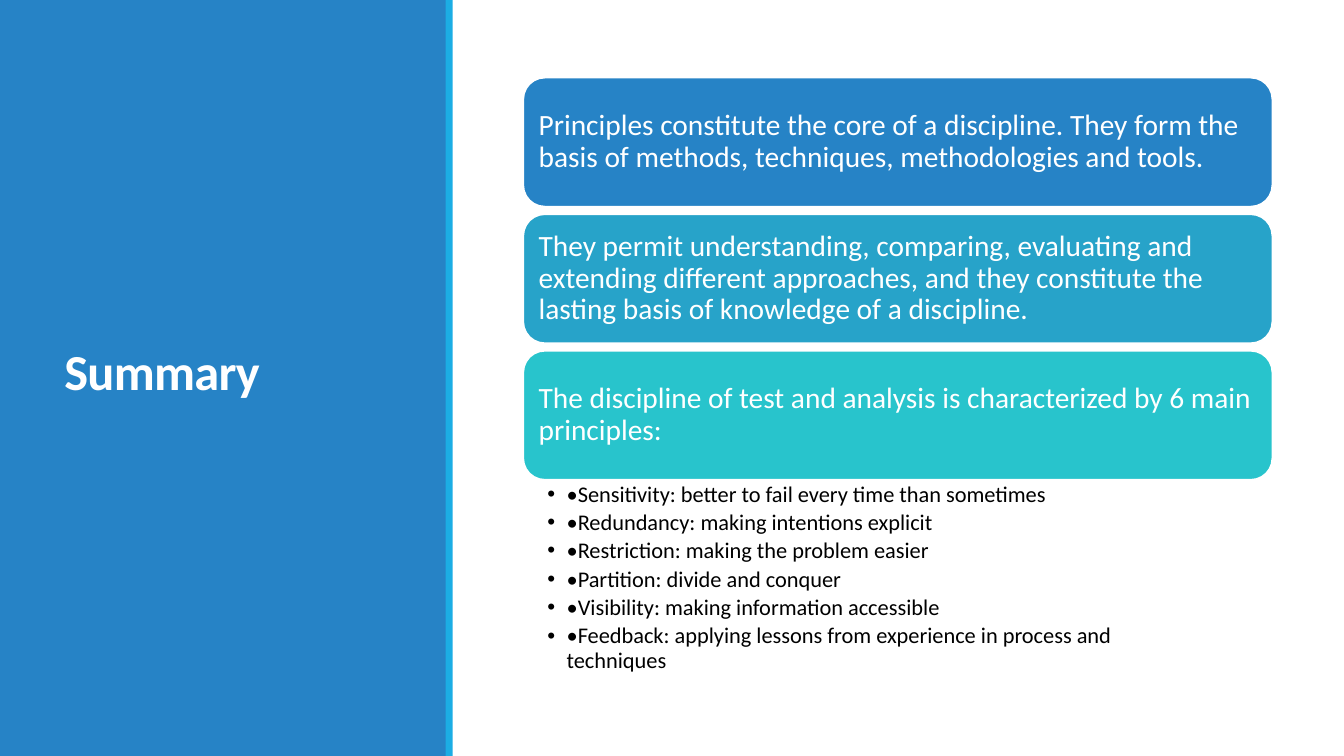
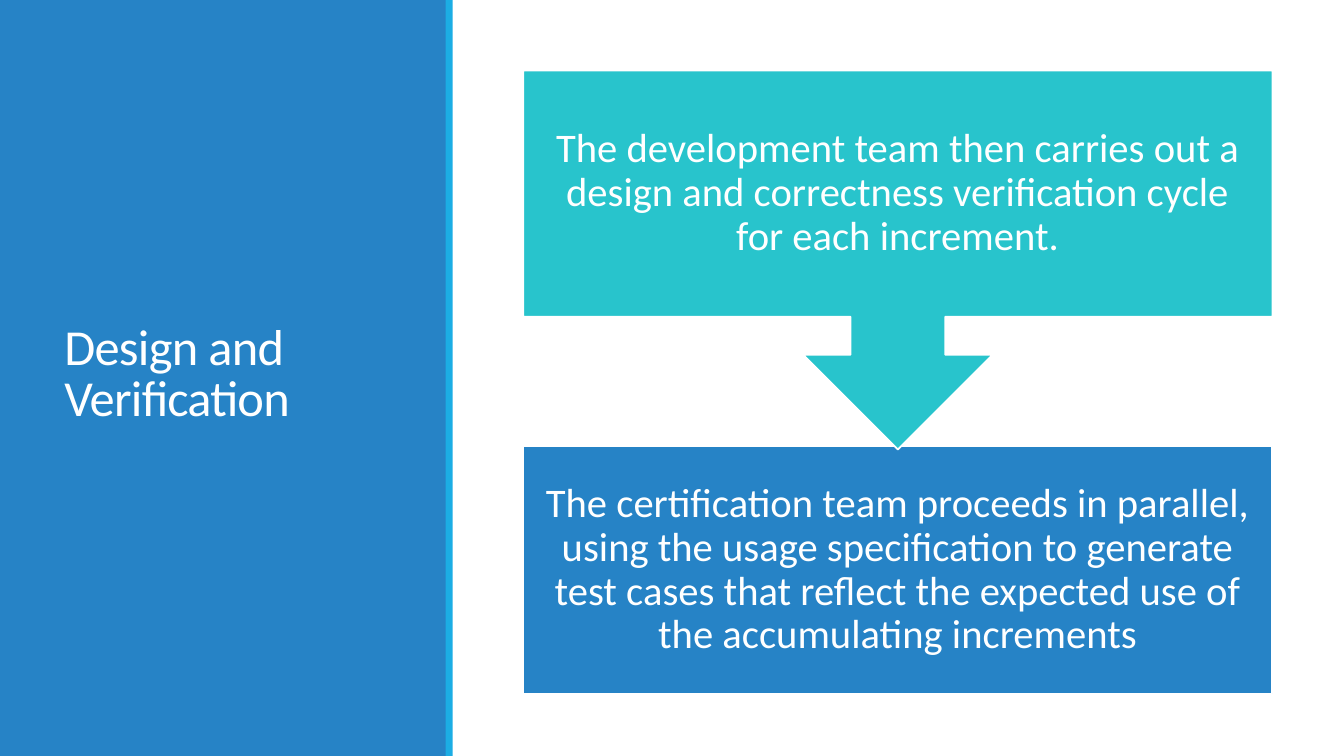
from dataclasses import dataclass

from lxml import etree
from pptx import Presentation
from pptx import util as u
from pptx.dml.color import RGBColor
from pptx.enum import shapes, text
from pptx.oxml.ns import qn


@dataclass(frozen=True)
class Theme:
    font: str = "Calibri"
    blue: str = "2683C6"
    mid_blue: str = "27A3C9"
    teal: str = "28C4CC"
    accent: str = "1CADE4"
    white: str = "FFFFFF"
    black: str = "000000"
    title_size: int = 36
    flow_size: int = 29
    card_size: int = 21
    list_size: int = 16
    outline: float = 1.25


theme = Theme()
content_left, content_width = 5.19, 7.43


def add_block(slide, kind, box, fill, outlined=False):
    block = slide.shapes.add_shape(kind, *map(u.Inches, box))
    block.shadow.inherit = False
    block.fill.solid()
    block.fill.fore_color.rgb = RGBColor.from_string(fill)
    if outlined:
        block.line.color.rgb = RGBColor.from_string(theme.white)
        block.line.width = u.Pt(theme.outline)
    else:
        block.line.fill.background()
    return block


def write(frame, lines, size, insets, color=theme.white, spacing=0.9,
          align=text.PP_ALIGN.LEFT, anchor=text.MSO_ANCHOR.MIDDLE):
    frame.word_wrap = True
    frame.vertical_anchor = anchor
    (frame.margin_left, frame.margin_top,
     frame.margin_right, frame.margin_bottom) = map(u.Inches, insets)
    frame.text = "\n".join(lines)
    for paragraph in frame.paragraphs:
        paragraph.alignment = align
        paragraph.line_spacing = spacing
        for run in paragraph.runs:
            run.font.name = theme.font
            run.font.size = u.Pt(size)
            run.font.color.rgb = RGBColor.from_string(color)


deck = Presentation()
deck.slide_width, deck.slide_height = u.Inches(13.33), u.Inches(7.5)

# Shared side panel, title and accent strip
slides = []
for heading, bold in [("Summary", True), ("Design and Verification", False)]:
    slide = deck.slides.add_slide(deck.slide_layouts[6])
    add_block(slide, shapes.MSO_SHAPE.RECTANGLE, (0, 0, 4.43, 7.5), theme.blue)
    title = slide.shapes.add_textbox(*map(u.Inches, (0.54, 0.57, 3.37, 6.31)))
    write(title.text_frame, [heading], theme.title_size,
          (0.1, 0.05, 0.1, 0.05), spacing=0.85)
    title_run = title.text_frame.paragraphs[0].runs[0]
    title_run.font.bold = bold
    title_run.font._element.set("spc", "-50")
    add_block(slide, shapes.MSO_SHAPE.RECTANGLE, (4.42, 0, 0.07, 7.5), theme.accent)
    slides.append(slide)
summary, verification = slides

# Summary: stacked cards
cards = [
    ("Principles constitute the core of a discipline. They form the basis of "
     "methods, techniques, methodologies and tools.", theme.blue),
    ("They permit understanding, comparing, evaluating and extending different "
     "approaches, and they constitute the lasting basis of knowledge of a "
     "discipline.", theme.mid_blue),
    ("The discipline of test and analysis is characterized by 6 main principles:",
     theme.teal),
]
card_top, card_height, card_pitch = 0.77, 1.28, 1.355
for index, (statement, fill) in enumerate(cards):
    card = add_block(summary, shapes.MSO_SHAPE.ROUNDED_RECTANGLE,
                     (content_left, card_top + index * card_pitch,
                      content_width, card_height), fill, outlined=True)
    write(card.text_frame, [statement], theme.card_size, (0.09,) * 4)

# Summary: the six principles
principles = summary.shapes.add_textbox(
    *map(u.Inches, (content_left, 4.76, content_width, 2.04)))
write(principles.text_frame, [
    "•Sensitivity: better to fail every time than sometimes",
    "•Redundancy: making intentions explicit",
    "•Restriction: making the problem easier",
    "•Partition: divide and conquer",
    "•Visibility: making information accessible",
    "•Feedback: applying lessons from experience in process and techniques",
], theme.list_size, (0.24, 0.03, 0.8, 0.03), theme.black,
    anchor=text.MSO_ANCHOR.TOP)
for principle in principles.text_frame.paragraphs:
    principle.space_after = u.Pt(3)
    properties = principle._p.get_or_add_pPr()
    properties.set("marL", str(u.Inches(0.19)))
    properties.set("indent", str(u.Inches(-0.19)))
    etree.SubElement(properties, qn("a:buFont")).set("typeface", "Arial")
    etree.SubElement(properties, qn("a:buChar")).set("char", "•")

# Verification: certification box below, development callout pointing to it
steps = [
    (shapes.MSO_SHAPE.RECTANGLE, 4.43, 2.45, theme.blue,
     "The certification team proceeds in parallel, using the usage specification "
     "to generate test cases that reflect the expected use of the accumulating "
     "increments"),
    (shapes.MSO_SHAPE.DOWN_ARROW_CALLOUT, 0.7, 3.76, theme.teal,
     "The development team then carries out a design and correctness "
     "verification cycle for each increment."),
]
for kind, top, height, fill, statement in steps:
    step = add_block(verification, kind,
                     (content_left, top, content_width, height), fill, outlined=True)
    write(step.text_frame, [statement], theme.flow_size, (0.2, 0.23, 0.2, 0.23),
          align=text.PP_ALIGN.CENTER)

deck.save("out.pptx")
